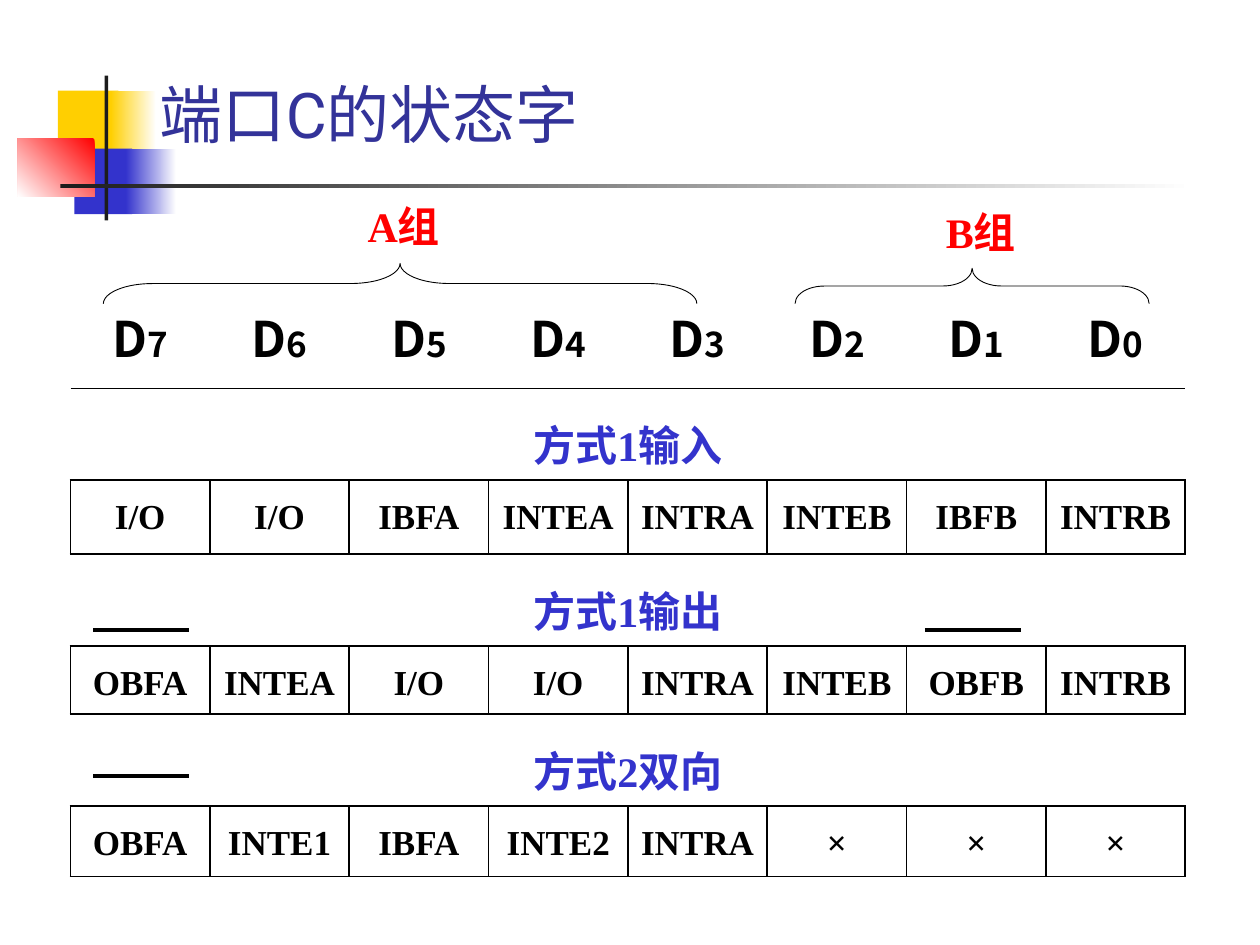
from lxml import etree
from pptx import Presentation
from pptx.dml.color import RGBColor
from pptx.enum.shapes import MSO_CONNECTOR, MSO_SHAPE
from pptx.enum.text import MSO_ANCHOR, PP_ALIGN
from pptx.oxml.ns import qn
from pptx.util import Inches, Pt

RECTANGLE = MSO_SHAPE.RECTANGLE
LEFT_BRACE = MSO_SHAPE.LEFT_BRACE
STRAIGHT = MSO_CONNECTOR.STRAIGHT
LEFT, CENTER = PP_ALIGN.LEFT, PP_ALIGN.CENTER
TOP, BOTTOM = MSO_ANCHOR.TOP, MSO_ANCHOR.BOTTOM

BLACK = RGBColor(0x00, 0x00, 0x00)
WHITE = RGBColor(0xFF, 0xFF, 0xFF)
RED = RGBColor(0xFF, 0x00, 0x00)
YELLOW = RGBColor(0xFF, 0xCF, 0x01)
BLUE = RGBColor(0x33, 0x33, 0xCC)
TITLE_BLUE = RGBColor(0x33, 0x33, 0x99)
CHARCOAL = RGBColor(0x1C, 0x1C, 0x1C)

SANS, SERIF, TITLE_FONT = "Noto Sans CJK SC", "Times New Roman", "Roboto"
THIN, THICK = 0.45, 1.08

TITLE_FORMAT = {"name": TITLE_FONT, "size": Pt(36), "bold": False}
GROUP_FORMAT = {"name": SERIF, "size": Pt(24), "bold": True}
BIT_FORMAT = {"name": SANS, "size": Pt(28), "bold": True}
INDEX_FORMAT = {"name": SANS, "size": Pt(20), "bold": True}
MODE_FORMAT = {"name": SERIF, "size": Pt(24), "bold": True}
SIGNAL_FORMAT = {"name": SERIF, "size": Pt(20), "bold": True}

BITS = 8
TABLE_LEFT, TABLE_TOP, TABLE_WIDTH = 0.56, 2.34, 8.85
ROW_HEIGHTS = [0.74, 0.62, 0.59, 0.62, 0.54, 0.62, 0.56]
MODES = [
    ("方式1输入", "I/O I/O IBFA INTEA INTRA INTEB IBFB INTRB"),
    ("方式1输出", "OBFA INTEA I/O I/O INTRA INTEB OBFB INTRB"),
    ("方式2双向", "OBFA INTE1 IBFA INTE2 INTRA × × ×"),
]

# left, top, width, height, colour, gradient angle (None for a solid fill)
DECORATIONS = [
    (0.46, 0.72, 0.48, 0.52, YELLOW, None),
    (0.88, 0.72, 0.36, 0.52, YELLOW, 0),
    (0.59, 1.18, 0.46, 0.52, BLUE, None),
    (1.00, 1.18, 0.40, 0.52, BLUE, 0),
    (0.14, 1.10, 0.61, 0.46, RED, 225),
    (0.83, 0.60, 0.03, 1.15, CHARCOAL, None),
    (0.48, 1.46, 9.00, 0.03, CHARCOAL, 0),
]

# label, label box, brace left, top, span, height, curve size
GROUPS = [
    ("A组", (2.63, 1.58, 1.15, 0.43), (0.82, 2.09, 4.71, 0.32, 1.22)),
    ("B组", (7.19, 1.63, 1.19, 0.43), (6.31, 2.13, 2.81, 0.28, 0.83)),
]
OVERBARS = [(0.74, 5.0), (0.74, 6.16), (7.34, 5.0)]
OVERBAR_LENGTH = 0.76


class StatusWordSlide:
    def __init__(self, slide):
        self.slide = slide
        self.shapes = slide.shapes

    def decoration(self, left, top, width, height, color, angle):
        """Add a borderless block, solid or fading from its colour to white."""
        shape = self.shapes.add_shape(
            RECTANGLE, Inches(left), Inches(top), Inches(width), Inches(height))
        shape.shadow.inherit = False
        shape.line.fill.background()
        if angle is None:
            shape.fill.solid()
            shape.fill.fore_color.rgb = color
            return
        shape.fill.gradient()
        shape.fill.gradient_angle = angle
        for stop, stop_color, position in zip(
                shape.fill.gradient_stops, (color, WHITE), (0, 1)):
            stop.color.rgb = stop_color
            stop.position = position

    def run(self, paragraph, text, color, text_format):
        run = paragraph.add_run()
        run.text = text
        run.font.color.rgb = color
        for name, value in text_format.items():
            setattr(run.font, name, value)
        east_asian = etree.SubElement(run.font._element, qn("a:ea"))
        east_asian.set("typeface", SANS)

    def text(self, text, box, color, text_format, alignment, anchor, margins):
        shape = self.shapes.add_textbox(*(Inches(value) for value in box))
        frame = shape.text_frame
        frame.word_wrap = True
        frame.vertical_anchor = anchor
        frame.margin_left = frame.margin_right = Inches(margins[0])
        frame.margin_top = frame.margin_bottom = Inches(margins[1])
        paragraph = frame.paragraphs[0]
        paragraph.alignment = alignment
        self.run(paragraph, text, color, text_format)

    def brace(self, left, top, span, height, curve):
        """Add a brace that opens downwards over the given span."""
        shape = self.shapes.add_shape(
            LEFT_BRACE,
            Inches(left + (span - height) / 2), Inches(top + (height - span) / 2),
            Inches(height), Inches(span))
        shape.rotation = 90
        shape.adjustments[0] = curve
        shape.shadow.inherit = False
        shape.fill.background()
        shape.line.color.rgb = BLACK
        shape.line.width = Pt(0.5)

    def overbar(self, left, top):
        line = self.shapes.add_connector(
            STRAIGHT, Inches(left), Inches(top),
            Inches(left + OVERBAR_LENGTH), Inches(top))
        line.line.color.rgb = BLACK
        line.line.width = Pt(2.25)
        etree.SubElement(line._element.spPr, qn("a:effectLst"))

    def cell(self, cell, runs, borders, line_spacing):
        """Fill a cell; borders maps the sides L, R, T, B to widths in points."""
        properties = cell._tc.get_or_add_tcPr()
        for side in "LRTB":
            border = etree.SubElement(properties, qn(f"a:ln{side}"))
            if side not in borders:
                etree.SubElement(border, qn("a:noFill"))
                continue
            border.set("w", str(Pt(borders[side])))
            fill = etree.SubElement(border, qn("a:solidFill"))
            etree.SubElement(fill, qn("a:srgbClr")).set("val", str(BLACK))
        cell.fill.background()
        cell.vertical_anchor = TOP
        paragraph = cell.text_frame.paragraphs[0]
        paragraph.alignment = CENTER
        paragraph.line_spacing = line_spacing
        for run in runs:
            self.run(paragraph, *run)

    def status_table(self):
        table = self.shapes.add_table(
            len(ROW_HEIGHTS), BITS, Inches(TABLE_LEFT), Inches(TABLE_TOP),
            Inches(TABLE_WIDTH), Inches(sum(ROW_HEIGHTS))).table
        table.first_row = table.horz_banding = False
        for column in table.columns:
            column.width = Inches(TABLE_WIDTH / BITS)
        for row, height in zip(table.rows, ROW_HEIGHTS):
            row.height = Inches(height)

        for column in range(BITS):
            runs = [("D", BLACK, BIT_FORMAT),
                    (str(BITS - 1 - column), BLACK, INDEX_FORMAT)]
            self.cell(table.cell(0, column), runs, {"B": THIN}, 1.0)

        for index, (mode, signals) in enumerate(MODES):
            mode_row = 1 + 2 * index
            mode_borders = {"T": THICK if index else THIN, "B": THICK}
            table.cell(mode_row, 0).merge(table.cell(mode_row, BITS - 1))
            for column, signal in enumerate(signals.split()):
                mode_runs = [] if column else [(mode, BLUE, MODE_FORMAT)]
                self.cell(table.cell(mode_row, column), mode_runs, mode_borders, 1.3)
                self.cell(table.cell(mode_row + 1, column),
                          [(signal, BLACK, SIGNAL_FORMAT)],
                          dict.fromkeys("LRTB", THICK), 1.3)


def main():
    presentation = Presentation()
    presentation.slide_width = Inches(10)
    presentation.slide_height = Inches(7.5)
    page = StatusWordSlide(
        presentation.slides.add_slide(presentation.slide_layouts[6]))

    for decoration in DECORATIONS:
        page.decoration(*decoration)
    page.status_table()
    page.text("端口C的状态字", (1.17, 0.33, 8.52, 0.92), TITLE_BLUE,
              TITLE_FORMAT, LEFT, BOTTOM, (0.1, 0.05))
    for label, box, brace in GROUPS:
        page.text(label, box, RED, GROUP_FORMAT, CENTER, TOP, (0.01, 0.01))
        page.brace(*brace)
    for overbar in OVERBARS:
        page.overbar(*overbar)
    presentation.save("out.pptx")


if __name__ == "__main__":
    main()
